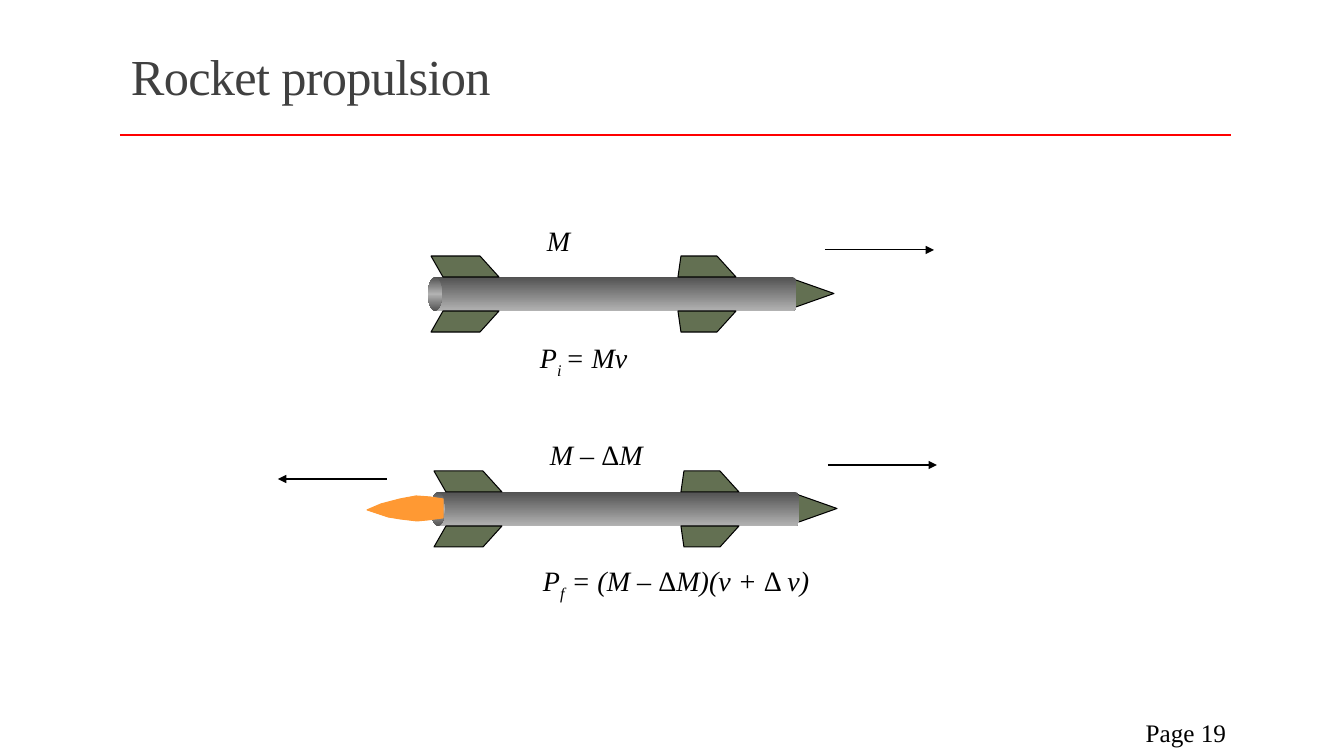
from copy import deepcopy

from lxml.etree import SubElement
from pptx import Presentation
from pptx.dml.color import RGBColor
from pptx.enum.shapes import MSO_CONNECTOR, MSO_SHAPE
from pptx.enum.text import MSO_ANCHOR, PP_ALIGN
from pptx.oxml.ns import qn
from pptx.util import Pt

PX = 914400 / 100.8
BLACK, GREEN, FLAME = "000000", "637052", "FF9933"
DARK, LIGHT = "525252", "B2B2B2"

deck = Presentation()
deck.slide_width, deck.slide_height = round(1344 * PX), round(756 * PX)
page = deck.slides.add_slide(deck.slide_layouts[6])


def color(value):
    return RGBColor.from_string(value)


def add_text(text, left, top, width, height, size=20, fill=BLACK, italic=False,
             align=PP_ALIGN.LEFT, anchor=MSO_ANCHOR.TOP, line_spacing=None, spacing=None):
    """Text is a string, or a list of (string, style) with style i, sub or None."""
    box = page.shapes.add_textbox(*(round(n * PX) for n in (left, top, width, height)))
    frame = box.text_frame
    frame.word_wrap, frame.vertical_anchor = True, anchor
    para = frame.paragraphs[0]
    para.alignment, para.line_spacing = align, line_spacing
    for words, style in [(text, None)] if isinstance(text, str) else text:
        span = para.add_run()
        span.text = words
        span.font.name, span.font.size = "Times New Roman", Pt(size)
        span.font.italic = italic or style in ("i", "sub")
        span.font.color.rgb = color(fill)
        if style == "sub":
            span.font._element.set("baseline", "-25000")
        if spacing:
            span.font._element.set("spc", str(spacing))


def paint(shape, fill, line=None):
    """Fill is one colour, or a list of colours running from top to bottom."""
    shape.shadow.inherit = False
    if isinstance(fill, str):
        shape.fill.solid()
        shape.fill.fore_color.rgb = color(fill)
    else:
        shape.fill.gradient()
        shape.fill.gradient_angle = 270
        stop_list = shape._element.spPr.find(qn("a:gradFill")).find(qn("a:gsLst"))
        while len(stop_list) < len(fill):
            stop_list.append(deepcopy(stop_list[-1]))
        for index, stop in enumerate(shape.fill.gradient_stops):
            stop.position = index / (len(fill) - 1)
            stop.color.rgb = color(fill[index])
    if line:
        shape.line.color.rgb = color(line)
        shape.line.width = Pt(0.75)
    else:
        shape.line.fill.background()


# Title and page number
add_text("Rocket propulsion", 121, 31, 1109, 99, size=36, fill="404040",
         anchor=MSO_ANCHOR.MIDDLE, line_spacing=0.85, spacing=-50)
add_text("Page 19", 1092, 712, 144, 40, size=18, align=PP_ALIGN.RIGHT,
         anchor=MSO_ANCHOR.MIDDLE)

# Title rule and velocity arrows
for start, end, y, line_color, width, has_head in [
    (120, 1231, 135, "FF0000", 2, False),
    (825, 934, 250, BLACK, 0.75, True),
    (828, 937, 465, BLACK, 0.75, True),
    (387, 278, 479, BLACK, 0.75, True),
]:
    connector = page.shapes.add_connector(
        MSO_CONNECTOR.STRAIGHT, *(round(n * PX) for n in (start, y, end, y)))
    connector.line.color.rgb = color(line_color)
    connector.line.width = Pt(width)
    if has_head:
        SubElement(connector.line._get_or_add_ln(), qn("a:tailEnd"), type="triangle")
    SubElement(connector._element.spPr, qn("a:effectLst"))

# Rockets, before and after burning fuel
AXIS = 294
REAR_FIN = [(443, 277), (431, 256), (480, 256), (499, 277)]
FRONT_FIN = [(678, 277), (681, 256), (717, 256), (736, 277)]
for dx, dy in [(0, 0), (3, 215)]:
    for kind, left, top, width, height, fill, line in [
        (MSO_SHAPE.ISOSCELES_TRIANGLE, 799, 273, 29, 41, GREEN, BLACK),
        (MSO_SHAPE.ROUNDED_RECTANGLE, 432, 277, 364, 34, [DARK, LIGHT], None),
        (MSO_SHAPE.OVAL, 428, 277, 14, 34, [DARK, LIGHT, DARK], None),
    ]:
        part = page.shapes.add_shape(
            kind, *(round(n * PX) for n in (left + dx, top + dy, width, height)))
        paint(part, fill, line)
        if kind == MSO_SHAPE.ISOSCELES_TRIANGLE:
            part.rotation = 90
        elif kind == MSO_SHAPE.ROUNDED_RECTANGLE:
            part.adjustments[0] = 0.12
    for fin in (REAR_FIN, FRONT_FIN):
        for side in (1, -1):
            points = [(x + dx, AXIS + side * (y - AXIS) + dy) for x, y in fin]
            builder = page.shapes.build_freeform(*points[0], scale=PX)
            builder.add_line_segments(points[1:], close=True)
            paint(builder.convert_to_shape(), GREEN, BLACK)

# Exhaust flame
flame = [(443, 499), (430, 497), (416, 496), (400, 499), (381, 504), (367, 510),
         (388, 517), (400, 519), (417, 521), (428, 520), (443, 518)]
builder = page.shapes.build_freeform(*flame[0], scale=PX)
builder.add_line_segments(flame[1:], close=True)
paint(builder.convert_to_shape(), FLAME, FLAME)

# Mass and momentum labels
for spans, left, top, width in [
    ([("M", "i")], 537, 219, 126),
    ([("P", "i"), ("i ", "sub"), ("= Mv", "i")], 530, 336, 227),
    ([("M – ", "i"), ("Δ", None), ("M", "i")], 540, 433, 130),
    ([("P", "i"), ("f", "sub"), (" = (M – ", "i"), ("Δ", None),
      ("M)(v + ", "i"), ("Δ ", None), ("v)", "i")], 533, 559, 301),
]:
    add_text(spans, left, top, width, 44)

deck.save("out.pptx")
